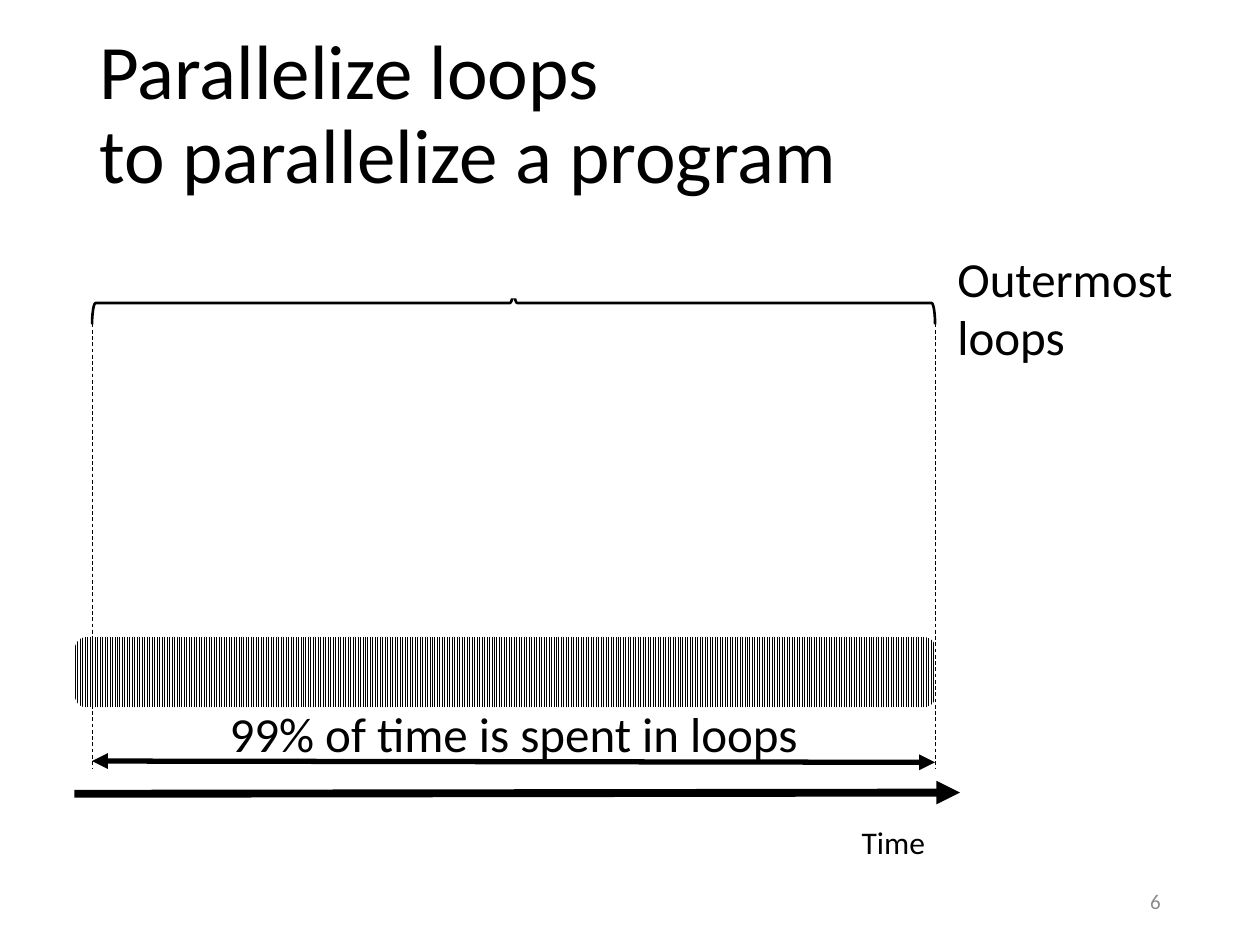
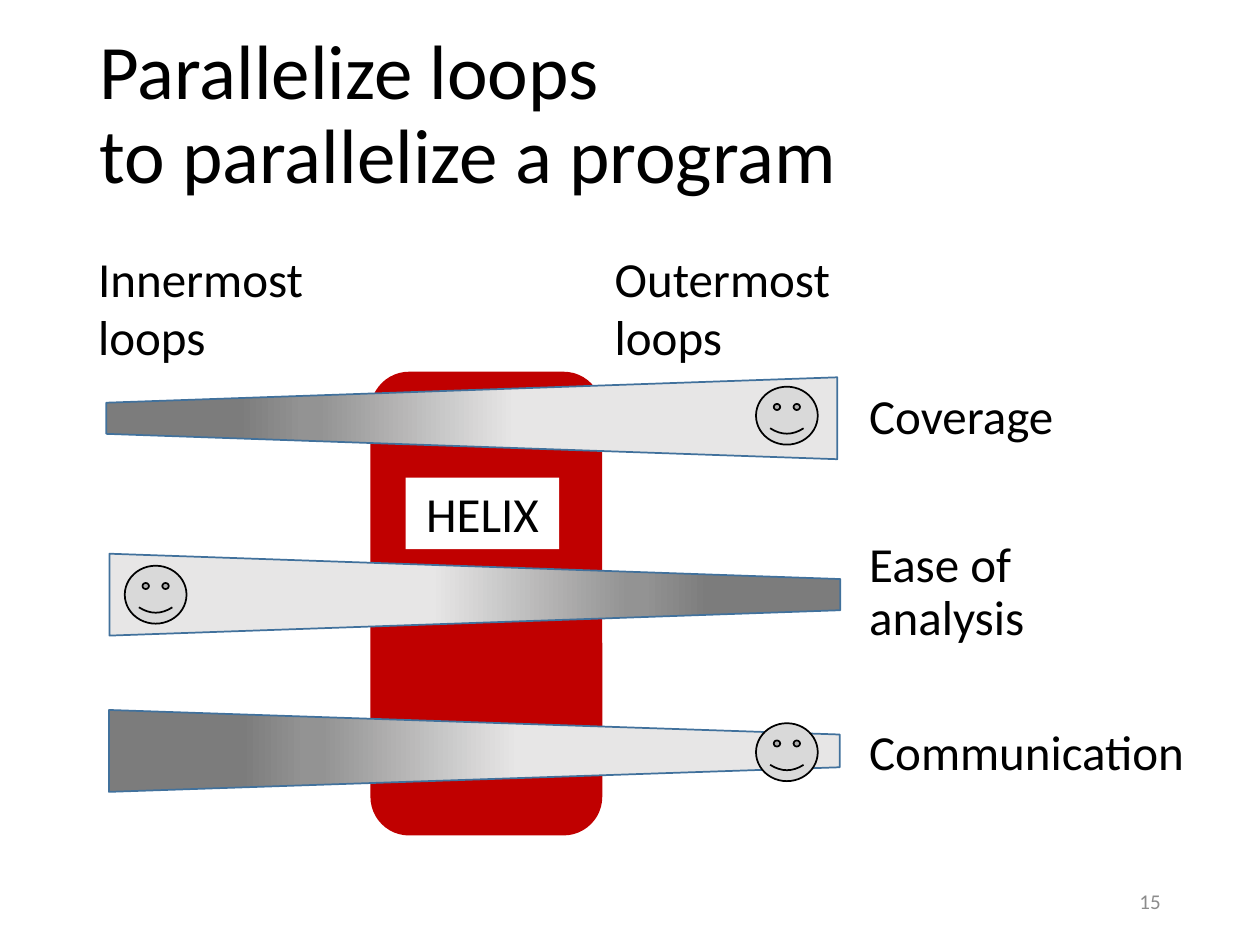
from dataclasses import dataclass
from typing import Any, Optional

from pptx import Presentation
from pptx.dml.color import RGBColor
from pptx.enum.dml import MSO_LINE, MSO_PATTERN
from pptx.enum.shapes import MSO_CONNECTOR, MSO_SHAPE
from pptx.enum.text import MSO_ANCHOR, PP_ALIGN
from pptx.oxml import parse_xml
from pptx.oxml.ns import nsdecls
from pptx.oxml.xmlchemy import OxmlElement
from pptx.shapes.autoshape import Shape
from pptx.slide import Slide
from pptx.util import Pt

BLACK = RGBColor(0x00, 0x00, 0x00)
WHITE = RGBColor(0xFF, 0xFF, 0xFF)
RED = RGBColor(0xC0, 0x00, 0x00)
FACE_GRAY = RGBColor(0xD9, 0xD9, 0xD9)
NUMBER_GRAY = RGBColor(0x8C, 0x8C, 0x8C)
OUTLINE_BLUE = RGBColor(0x41, 0x71, 0x9C)
LIGHT = RGBColor(0xE7, 0xE6, 0xE6)
MEDIUM = RGBColor(0x93, 0x93, 0x93)
DARK = RGBColor(0x7C, 0x7C, 0x7C)

FONT = "Calibri"
TITLE = "Parallelize loops\vto parallelize a program"
GRADIENT_STOPS = ((44, LIGHT), (71, MEDIUM), (73, MEDIUM), (82, DARK))

LOOPS_LEFT, LOOPS_RIGHT = 52.6, 534.3
LOOPS_WIDTH = LOOPS_RIGHT - LOOPS_LEFT
LABEL_TOP = 138.2
WEDGE_WIDTH, WEDGE_HEIGHT = 417.6, 46.8
FACE_WIDTH, FACE_HEIGHT = 35.3, 33.1


@dataclass
class Box:
    """A rectangle as it appears on the slide, in points."""
    left: float
    top: float
    width: float
    height: float


@dataclass
class Label:
    """A piece of text and its format."""
    box: Box
    text: str
    size: float = 28
    color: RGBColor = BLACK
    align: PP_ALIGN = PP_ALIGN.LEFT
    anchor: MSO_ANCHOR = MSO_ANCHOR.TOP
    spacing: float = 1.0


@dataclass
class Block:
    """A preset shape, turned by a multiple of 90 degrees."""
    kind: MSO_SHAPE
    box: Box
    fill: Optional[RGBColor] = None
    line: Optional[RGBColor] = None
    line_width: float = 1
    rotation: int = 0


@dataclass
class Line:
    """A straight line, with the arrowheads it carries."""
    start: tuple[float, float]
    end: tuple[float, float]
    width: float
    heads: tuple[str, ...] = ()
    dashed: bool = False


@dataclass
class Measure:
    """A quality of loops, with its wedge and the side that smiles."""
    wedge: Box
    rotation: int
    gradient_angle: int
    inset: float
    face: tuple[float, float]
    label: Label


def set_format(target: Any, values: dict[str, Any]) -> None:
    """Set each named attribute of the target."""
    for name, value in values.items():
        setattr(target, name, value)


def add_label(slide: Slide, label: Label) -> Shape:
    """Add a text box to the slide."""
    box = label.box
    shape = slide.shapes.add_textbox(Pt(box.left), Pt(box.top), Pt(box.width), Pt(box.height))
    set_format(shape.text_frame, {"word_wrap": True, "vertical_anchor": label.anchor,
                                  "text": label.text})
    paragraph = shape.text_frame.paragraphs[0]
    set_format(paragraph, {"alignment": label.align, "line_spacing": label.spacing})
    set_format(paragraph.font, {"name": FONT, "size": Pt(label.size)})
    paragraph.font.color.rgb = label.color
    return shape


def add_block(slide: Slide, block: Block) -> Shape:
    """Add a preset shape whose turned outline fills the block's box."""
    box = block.box
    width, height = box.width, box.height
    if block.rotation % 180:
        width, height = height, width
    left = box.left + (box.width - width) / 2
    top = box.top + (box.height - height) / 2
    shape = slide.shapes.add_shape(block.kind, Pt(left), Pt(top), Pt(width), Pt(height))
    shape.rotation = block.rotation
    shape.shadow.inherit = False
    if block.fill is None:
        shape.fill.background()
    else:
        shape.fill.solid()
        shape.fill.fore_color.rgb = block.fill
    if block.line is None:
        shape.line.fill.background()
    else:
        shape.line.color.rgb = block.line
        shape.line.width = Pt(block.line_width)
    return shape


def add_line(slide: Slide, line: Line) -> None:
    """Add a black connector with optional dashes and arrowheads."""
    connector = slide.shapes.add_connector(
        MSO_CONNECTOR.STRAIGHT, *(Pt(value) for value in line.start + line.end))
    connector.line.color.rgb = BLACK
    connector.line.width = Pt(line.width)
    if line.dashed:
        connector.line.dash_style = MSO_LINE.DASH
    properties = connector.line._get_or_add_ln()
    for head in line.heads:
        element = OxmlElement(f"a:{head}")
        element.set("type", "triangle")
        properties.append(element)
    connector._element.spPr.append(OxmlElement("a:effectLst"))


def fill_gradient(shape: Shape, angle: int) -> None:
    """Replace the fill by the shared light to dark gradient."""
    stops = "".join(f'<a:gs pos="{position * 1000}"><a:srgbClr val="{color}"/></a:gs>'
                    for position, color in GRADIENT_STOPS)
    gradient = parse_xml(f'<a:gradFill {nsdecls("a")} rotWithShape="1"><a:gsLst>{stops}</a:gsLst>'
                         f'<a:lin ang="{angle * 60000}" scaled="0"/></a:gradFill>')
    properties = shape._element.spPr
    old_fill = properties.find("{*}noFill")
    properties.replace(old_fill, gradient)


def add_measure(slide: Slide, measure: Measure) -> None:
    """Add a wedge, its smiling face and its label."""
    wedge = add_block(slide, Block(MSO_SHAPE.TRAPEZOID, measure.wedge, line=OUTLINE_BLUE,
                                   rotation=measure.rotation))
    wedge.adjustments[0] = measure.inset
    fill_gradient(wedge, measure.gradient_angle)
    add_label(slide, measure.label)
    add_block(slide, Block(MSO_SHAPE.SMILEY_FACE, Box(*measure.face, FACE_WIDTH, FACE_HEIGHT),
                           FACE_GRAY, BLACK))


def add_frame(slide: Slide, number: int) -> None:
    """Add the title and the slide number."""
    add_label(slide, Label(Box(49.7, 14.4, 620.6, 104.4), TITLE, 44,
                           anchor=MSO_ANCHOR.MIDDLE, spacing=0.9))
    add_label(slide, Label(Box(508.3, 500.4, 162, 28.8), str(number), 12, NUMBER_GRAY,
                           PP_ALIGN.RIGHT, MSO_ANCHOR.MIDDLE))


def build_timeline(slide: Slide) -> None:
    """Show how much of the running time is spent in loops."""
    add_label(slide, Label(Box(LOOPS_LEFT, 398.2, LOOPS_WIDTH, 41),
                           "99% of time is spent in loops", align=PP_ALIGN.CENTER))
    program = add_block(slide, Block(MSO_SHAPE.ROUNDED_RECTANGLE, Box(42.8, 364, 491.8, 40.3),
                                     rotation=90))
    program.fill.patterned()
    program.fill.pattern = MSO_PATTERN.LIGHT_VERTICAL
    program.fill.fore_color.rgb = BLACK
    program.fill.back_color.rgb = WHITE
    add_line(slide, Line((42.5, 453.6), (548.6, 452.9), 4.5, ("tailEnd",)))
    add_label(slide, Label(Box(485.3, 466.6, 56, 28.8), "Time", 18))
    add_line(slide, Line((LOOPS_RIGHT, 435.6), (LOOPS_LEFT, 434.9), 3, ("headEnd", "tailEnd")))
    add_block(slide, Block(MSO_SHAPE.LEFT_BRACE, Box(LOOPS_LEFT, 160.9, LOOPS_WIDTH, 24.5),
                           line=BLACK, line_width=1.5, rotation=90))
    for edge in (LOOPS_LEFT, LOOPS_RIGHT):
        add_line(slide, Line((edge, 185), (edge, 439.2), 0.5, dashed=True))
    add_block(slide, Block(MSO_SHAPE.RECTANGLE, Box(280.8, 137.5, 24.5, 33.1), WHITE))
    add_label(slide, Label(Box(540, LABEL_TOP, 146, 65), "Outermost\vloops"))


def build_comparison(slide: Slide) -> None:
    """Compare innermost and outermost loops by three measures."""
    add_block(slide, Block(MSO_SHAPE.ROUNDED_RECTANGLE, Box(211.7, 212.4, 132.5, 265), RED))
    for left, text in ((49, "Innermost\vloops"), (344.2, "Outermost\vloops")):
        add_label(slide, Label(Box(left, LABEL_TOP, 149, 65), text))
    face_right = 432
    measures = (
        Measure(Box(60.8, 215.6, WEDGE_WIDTH, WEDGE_HEIGHT), 270, 270, 0.31, (face_right, 221),
                Label(Box(489.6, 220.3, 140.4, 47.5), "Coverage", spacing=0.9)),
        Measure(Box(62.6, 316.4, WEDGE_WIDTH, WEDGE_HEIGHT), 90, 270, 0.31, (71.3, 323.3),
                Label(Box(489.6, 305.3, 171.4, 73.4), "Ease of\vanalysis", spacing=0.9)),
        Measure(Box(62.3, 405.7, WEDGE_WIDTH, WEDGE_HEIGHT), 90, 90, 0.3, (face_right, 413.3),
                Label(Box(489.6, 412.6, 199.4, 47.5), "Communication", spacing=0.9)),
    )
    for measure in measures:
        add_measure(slide, measure)
    helix = add_label(slide, Label(Box(231.8, 272.9, 87.8, 41), "HELIX", align=PP_ALIGN.CENTER))
    helix.fill.solid()
    helix.fill.fore_color.rgb = WHITE


def main() -> None:
    """Build and save the presentation."""
    presentation = Presentation()
    set_format(presentation, {"slide_width": Pt(720), "slide_height": Pt(540)})
    for number, build in ((6, build_timeline), (15, build_comparison)):
        slide = presentation.slides.add_slide(presentation.slide_layouts[6])
        build(slide)
        add_frame(slide, number)
    presentation.save("out.pptx")


if __name__ == "__main__":
    main()
